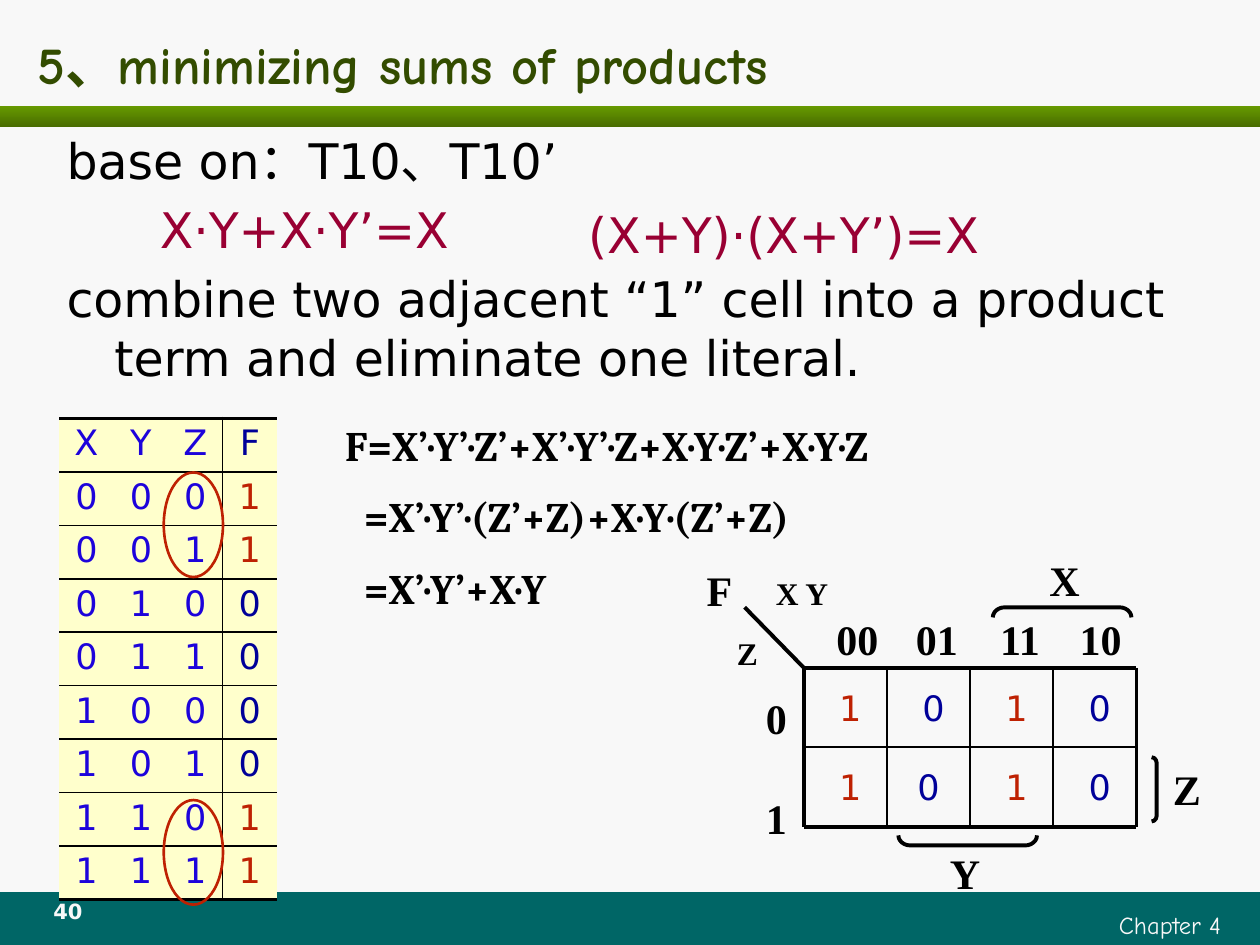
import itertools
from dataclasses import dataclass

import pptx
import pptx.util
import pptx.dml.color
import pptx.enum.shapes
import pptx.enum.text
import pptx.oxml
import pptx.oxml.ns

Inches = pptx.util.Inches
Pt = pptx.util.Pt
Align = pptx.enum.text.PP_ALIGN
Anchor = pptx.enum.text.MSO_ANCHOR
Shape = pptx.enum.shapes.MSO_SHAPE

COLORS = {
    "background": "F8F8F8", "footer": "006666", "bar_top": "669900", "bar_bottom": "496D00",
    "title": "334C00", "black": "000000", "formula": "990033", "cell": "FFFFCC",
    "input": "1D03DB", "zero": "000099", "one": "BE2102",
}
SANS, SERIF, COMIC, MATH = "DejaVu Sans", "Times New Roman", "Comic Neue", "Cambria"


@dataclass
class Style:
    font: str
    size: float
    color: str = "black"
    bold: bool = False


@dataclass
class Line:
    text: str
    style: Style
    align: Align = Align.LEFT
    before: float = 0
    margin: float = 0
    indent: float = 0


@dataclass
class Bracket:
    left: float
    top: float
    width: float
    height: float
    rotation: float
    bend: float


def rgb(name: str) -> pptx.dml.color.RGBColor:
    return pptx.dml.color.RGBColor.from_string(COLORS[name])


def write(paragraph, line: Line) -> None:
    properties = paragraph._p.get_or_add_pPr()
    properties.set("marL", str(Inches(line.margin)))
    properties.set("indent", str(Inches(line.indent)))
    paragraph.alignment = line.align
    paragraph.space_before = Pt(line.before)
    run = paragraph.add_run()
    run.text = line.text
    run.font.name = line.style.font
    run.font.size = Pt(line.style.size)
    run.font.bold = line.style.bold
    run.font.color.rgb = rgb(line.style.color)


def add_text(slide, left: float, top: float, width: float, height: float, lines: list[Line],
             anchor: Anchor = Anchor.TOP, inset: float = 0.1) -> None:
    frame = slide.shapes.add_textbox(Inches(left), Inches(top), Inches(width), Inches(height)).text_frame
    frame.word_wrap = True
    frame.vertical_anchor = anchor
    frame.margin_left = Inches(inset)
    for index, line in enumerate(lines):
        write(frame.add_paragraph() if index else frame.paragraphs[0], line)


def add_outline(slide, kind: Shape, left: float, top: float, width: float, height: float,
                color: str, weight: float):
    shape = slide.shapes.add_shape(kind, Inches(left), Inches(top), Inches(width), Inches(height))
    shape.shadow.inherit = False
    shape.fill.background()
    shape.line.color.rgb = rgb(color)
    shape.line.width = Pt(weight)
    return shape


def add_band(slide, top: float, height: float):
    band = slide.shapes.add_shape(Shape.RECTANGLE, 0, Inches(top), Inches(10), Inches(height))
    band.shadow.inherit = False
    band.line.fill.background()
    return band


def add_line(slide, x1: float, y1: float, x2: float, y2: float, weight: float) -> None:
    line = slide.shapes.add_connector(pptx.enum.shapes.MSO_CONNECTOR.STRAIGHT,
                                      Inches(x1), Inches(y1), Inches(x2), Inches(y2))
    line.line.color.rgb = rgb("black")
    line.line.width = Pt(weight)
    line._element.spPr.append(pptx.oxml.parse_xml(f'<a:effectLst {pptx.oxml.ns.nsdecls("a")}/>'))


def add_border(cell, side: str, weight: float) -> None:
    fill = f'<a:solidFill><a:srgbClr val="{COLORS["black"]}"/></a:solidFill>' if weight else "<a:noFill/>"
    cell._tc.get_or_add_tcPr().append(pptx.oxml.parse_xml(
        f'<a:ln{side} {pptx.oxml.ns.nsdecls("a")} w="{Pt(weight)}">{fill}</a:ln{side}>'))


def bit_color(bit: str) -> str:
    return "one" if bit == "1" else "zero"


def add_truth_table(slide) -> None:
    rows = [tuple("XYZF")]
    for x, y, z in itertools.product("01", repeat=3):
        rows.append((x, y, z, "1" if x == y else "0"))
    table = slide.shapes.add_table(len(rows), 4, Inches(0.47), Inches(3.32),
                                   Inches(1.73), Inches(3.82)).table
    table.first_row = table.horz_banding = False
    for r, values in enumerate(rows):
        for c, value in enumerate(values):
            cell = table.cell(r, c)
            cell.margin_top = cell.margin_bottom = Inches(0.04)
            add_border(cell, "L", 1 if c == 3 else 0)
            add_border(cell, "R", 1 if c == 2 else 0)
            add_border(cell, "T", 2.25 if r == 0 else 1)
            add_border(cell, "B", 2.25 if r == len(rows) - 1 else 1)
            cell.fill.solid()
            cell.fill.fore_color.rgb = rgb("cell")
            color = "input" if c < 3 or r == 0 and c < 3 else bit_color(value)
            write(cell.text_frame.paragraphs[0], Line(value, Style(SANS, 20, color), Align.CENTER))


def add_karnaugh_map(slide) -> None:
    left, top, width, height = 6.38, 5.3, 0.66, 0.63
    right, bottom = left + 4 * width, top + 2 * height
    # Cell values
    for row, column in itertools.product(range(2), range(4)):
        bit = "1010"[column]
        inset = 0.24 if (row, column) == (1, 1) else 0.28
        add_text(slide, left + column * width, top + row * height, width, height,
                 [Line(bit, Style(SANS, 20, bit_color(bit)))], Anchor.MIDDLE, inset)
    # Grid and corner diagonal
    for row in range(3):
        add_line(slide, left, top + row * height, right, top + row * height, 1 if row == 1 else 2.25)
    for column in range(5):
        x = left + column * width
        add_line(slide, x, top, x, bottom, 2.25 if column in (0, 4) else 1)
    add_line(slide, left, top, 5.91, 4.82, 2.25)
    # Labels: text, left, top, width, size
    labels = [
        ("F", 5.51, 4.43, 0.55, 24), ("X Y", 6.06, 4.51, 0.71, 18), ("Z", 5.75, 4.98, 0.39, 18),
        ("00", 6.54, 4.82, 0.63, 24), ("01", 7.17, 4.82, 0.63, 24),
        ("11", 7.84, 4.82, 0.63, 24), ("10", 8.47, 4.82, 0.63, 24),
        ("X", 8.23, 4.35, 0.47, 24), ("Y", 7.44, 6.68, 0.47, 24), ("Z", 9.21, 6.01, 0.39, 24),
        ("0", 5.98, 5.45, 0.39, 24), ("1", 5.98, 6.24, 0.39, 24),
    ]
    for text, x, y, box_width, size in labels:
        add_text(slide, x, y, box_width, 0.5 if size == 24 else 0.4,
                 [Line(text, Style(SERIF, size, bold=True))])
    # Brackets for Z, Y and X
    for bracket in (Bracket(9.14, 6.01, 0.04, 0.51, 0, 1.12),
                    Bracket(7.64, 6.12, 0.08, 1.1, 90, 1.18),
                    Bracket(8.39, 4.31, 0.08, 1.1, 270, 1.18)):
        shape = add_outline(slide, Shape.RIGHT_BRACKET, bracket.left, bracket.top,
                            bracket.width, bracket.height, "black", 2.25)
        shape.rotation = bracket.rotation
        shape.adjustments[0] = bracket.bend


def main() -> None:
    presentation = pptx.Presentation()
    presentation.slide_width, presentation.slide_height = Inches(10), Inches(7.5)
    slide = presentation.slides.add_slide(presentation.slide_layouts[6])
    slide.background.fill.solid()
    slide.background.fill.fore_color.rgb = rgb("background")

    # Footer band and title bar
    footer = add_band(slide, 7.08, 0.42)
    footer.fill.solid()
    footer.fill.fore_color.rgb = rgb("footer")
    bar = add_band(slide, 0.84, 0.17)
    bar.fill.gradient()
    bar.fill.gradient_angle = 270
    for stop, color in zip(bar.fill.gradient_stops, ("bar_top", "bar_bottom")):
        stop.color.rgb = rgb(color)
    add_text(slide, 5.79, 7.17, 4, 0.33, [Line("Chapter 4", Style(COMIC, 14, "background"), Align.RIGHT)])
    add_text(slide, 0.25, 7.08, 0.58, 0.33, [Line("40", Style(SANS, 12, "background", True), Align.CENTER)])

    # Title and body, with the dual theorem beside the first one
    add_text(slide, 0.2, 0.17, 9.55, 0.67,
             [Line("5、minimizing sums of products", Style(COMIC, 30, "title", True))], Anchor.MIDDLE)
    body, formula = Style(SANS, 28), Style(SANS, 28, "formula")
    add_text(slide, 0.43, 0.99, 9.14, 2.2, [
        Line("base on：T10、T10’", body, margin=0.38, indent=-0.38),
        Line("X·Y+X·Y’=X", formula, before=5.6, indent=0.74),
        Line("combine two adjacent “1” cell into a product term and eliminate one literal.",
             body, before=5.6, margin=0.38, indent=-0.38),
    ])
    add_text(slide, 4.57, 1.57, 4, 0.55, [Line("(X+Y)·(X+Y’)=X", formula)])

    # Truth table, derivation and combined pairs
    add_truth_table(slide)
    math_style = Style(MATH, 24, bold=True)
    add_text(slide, 2.64, 3.28, 6.3, 1.7, [
        Line("F=X’·Y’·Z’+X’·Y’·Z+X·Y·Z’+X·Y·Z", math_style),
        Line("=X’·Y’·(Z’+Z)+X·Y·(Z’+Z)", math_style, before=12, margin=0.15),
        Line("=X’·Y’+X·Y", math_style, before=12, margin=0.15),
    ])
    for top in (3.75, 6.35):
        add_outline(slide, Shape.OVAL, 1.3, top, 0.47, 0.83, "one", 1.5)

    add_karnaugh_map(slide)
    presentation.save("out.pptx")


if __name__ == "__main__":
    main()
